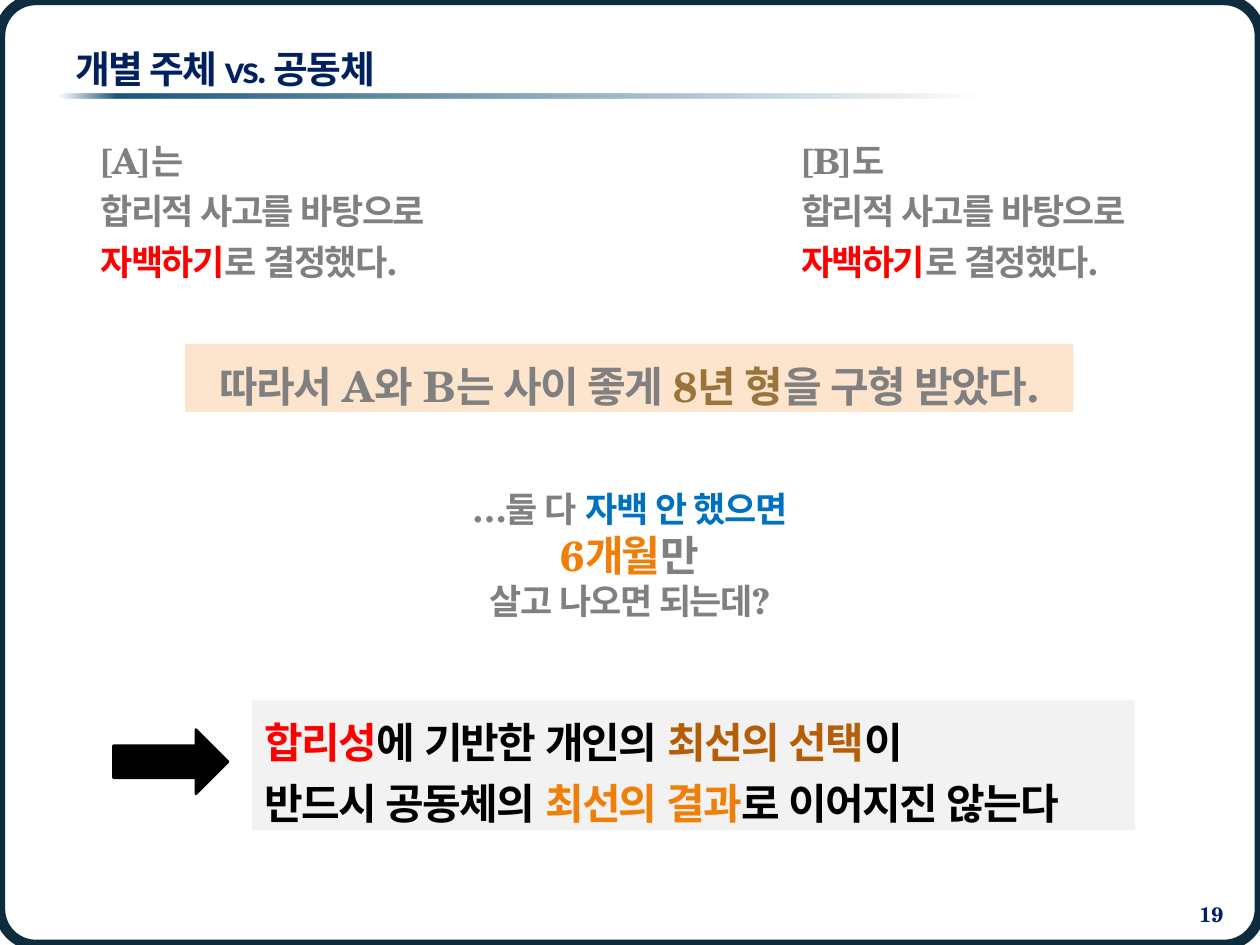
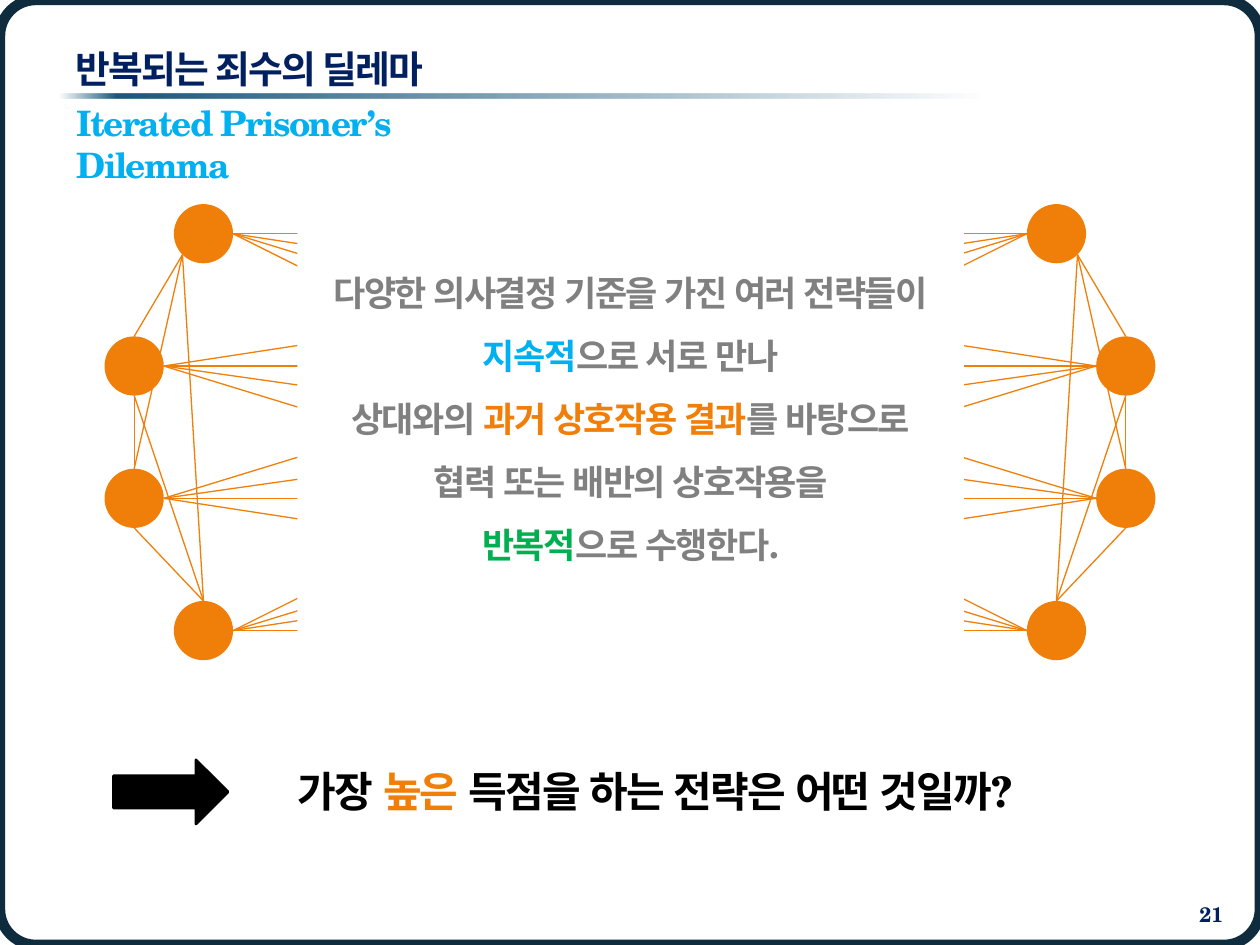
"""Builds two slides on individual choice and the iterated prisoner's dilemma."""
import itertools

import lxml.etree
import pptx
import pptx.dml.color
import pptx.enum.shapes
import pptx.enum.text
import pptx.oxml.ns
import pptx.util

Inches, Pt = pptx.util.Inches, pptx.util.Pt
RGBColor = pptx.dml.color.RGBColor
SHAPE = pptx.enum.shapes.MSO_SHAPE
ALIGN = pptx.enum.text.PP_ALIGN
ANCHOR = pptx.enum.text.MSO_ANCHOR
qn = pptx.oxml.ns.qn

FRAME = RGBColor(0x0E, 0x2C, 0x3E)
RULE = RGBColor(0x1B, 0x58, 0x7C)
NAVY = RGBColor(0x00, 0x20, 0x60)
GRAY = RGBColor(0x80, 0x80, 0x80)
BLACK = RGBColor(0x00, 0x00, 0x00)
WHITE = RGBColor(0xFF, 0xFF, 0xFF)
RED = RGBColor(0xFF, 0x00, 0x00)
BLUE = RGBColor(0x00, 0x70, 0xC0)
SKY = RGBColor(0x00, 0xB0, 0xF0)
GREEN = RGBColor(0x00, 0xB0, 0x50)
ORANGE = RGBColor(0xF0, 0x7F, 0x09)
BROWN = RGBColor(0xB4, 0x5F, 0x07)
GOLD = RGBColor(0x9A, 0x74, 0x3A)
PEACH = RGBColor(0xFD, 0xE5, 0xCD)
PALE = RGBColor(0xF2, 0xF2, 0xF2)

TITLE_FONT, BODY_FONT = "Lato", "TeX Gyre Schola"
SLIDE_W, SLIDE_H = 10, 7.5

PRISONERS = [("[A]는", 0.7), ("[B]도", 6.26)]
DECISION = [
    [("합리적 사고를 바탕으로", GRAY)],
    [("자백하기", RED), ("로 결정했다.", GRAY)],
]
SENTENCE = [[("따라서 A와 B는 사이 좋게 ", GRAY), ("8년 형", GOLD), ("을 구형 받았다.", GRAY)]]
REGRET = [
    [("…둘 다 ", GRAY), ("자백 안 했으면", BLUE)],
    [("6개월", ORANGE, 24), ("만", GRAY, 24)],
    [("살고 나오면 되는데?", GRAY)],
]
LESSON = [
    [("합리성", RED), ("에 기반한 개인의 ", BLACK), ("최선의 선택", BROWN), ("이", BLACK)],
    [("반드시 공동체의 ", BLACK), ("최선의 결과", ORANGE), ("로 이어지진 않는다", BLACK)],
]
SUBTITLE = [[("Iterated Prisoner’s Dilemma", SKY)]]
STRATEGIES = [
    [("다양한 의사결정 기준을 가진 여러 전략들이", GRAY)],
    [("지속적", SKY), ("으로 서로 만나", GRAY)],
    [("상대와의 ", GRAY), ("과거 상호작용 결과", ORANGE), ("를 바탕으로", GRAY)],
    [("협력 또는 배반의 상호작용을", GRAY)],
    [("반복적", GREEN), ("으로 수행한다.", GRAY)],
]
QUESTION = [[("가장 ", BLACK), ("높은", ORANGE), (" 득점을 하는 전략은 어떤 것일까?", BLACK)]]

NODE_SIZE, NODE_TOP, NODE_PITCH = 0.47, 1.62, 1.05
NODE_LEFTS = [1.38, 0.83, 0.83, 1.38]


def write(shape, lines, size=20, align=ALIGN.LEFT, spacing=1, font=BODY_FONT,
          tracking=-100, anchor=ANCHOR.TOP, top_inset=0.05):
    frame = shape.text_frame
    frame.word_wrap = True
    frame.auto_size = pptx.enum.text.MSO_AUTO_SIZE.NONE
    frame.vertical_anchor = anchor
    frame.margin_top = Inches(top_inset)
    for number, line in enumerate(lines):
        paragraph = frame.add_paragraph() if number else frame.paragraphs[0]
        paragraph.alignment = align
        paragraph.line_spacing = spacing
        for words, color, *own_size in line:
            run = paragraph.add_run()
            run.text = words
            run.font.size = Pt(own_size[0] if own_size else size)
            run.font.bold = True
            run.font.name = font
            run.font.color.rgb = color
            properties = run._r.get_or_add_rPr()
            properties.set("spc", str(tracking))
            lxml.etree.SubElement(properties, qn("a:ea"), typeface=font)


def add_text(slide, box, lines, **style):
    write(slide.shapes.add_textbox(*map(Inches, box)), lines, **style)


def add_figure(slide, kind, box, fill=None):
    figure = slide.shapes.add_shape(kind, *map(Inches, box))
    figure.shadow.inherit = False
    figure.line.fill.background()
    if fill is None:
        figure.fill.background()
    else:
        figure.fill.solid()
        figure.fill.fore_color.rgb = fill
    return figure


def outline(figure, color, width):
    figure.line.color.rgb = color
    figure.line.width = Pt(width)


def add_rule(slide):
    rule = add_figure(slide, SHAPE.RECTANGLE, (0.47, 0.74, 9.14, 0.04))
    rule.fill.gradient()
    rule.fill.gradient_angle = 0
    stops = rule._element.spPr.find(qn("a:gradFill")).find(qn("a:gsLst"))
    for stop in list(stops):
        stops.remove(stop)
    for position, alpha in [(0, 0), (5, 100), (80, 0)]:
        stop = lxml.etree.SubElement(stops, qn("a:gs"), pos=str(position * 1000))
        color = lxml.etree.SubElement(stop, qn("a:srgbClr"), val=str(RULE))
        lxml.etree.SubElement(color, qn("a:alpha"), val=str(alpha * 1000))


def start_slide(deck, title, number):
    slide = deck.slides.add_slide(deck.slide_layouts[5])
    frame = add_figure(slide, SHAPE.ROUNDED_RECTANGLE, (0, 0, SLIDE_W, SLIDE_H))
    frame.adjustments[0] = 0.038
    outline(frame, FRAME, 6)
    add_rule(slide)
    heading = slide.shapes.title
    heading.left, heading.top, heading.width, heading.height = map(Inches, (0.5, 0.3, 9, 0.48))
    write(heading, [[(title, NAVY)]], size=21.6, font=TITLE_FONT, anchor=ANCHOR.MIDDLE)
    add_text(slide, (8.98, 7.11, 0.83, 0.24), [[(number, NAVY)]], size=12,
             align=ALIGN.RIGHT, tracking=0)
    return slide


def add_arrow(slide, top):
    outline(add_figure(slide, SHAPE.RIGHT_ARROW, (0.9, top, 0.91, 0.51), BLACK), BLACK, 1.5)


def add_link(slide, start, end):
    link = slide.shapes.add_connector(
        pptx.enum.shapes.MSO_CONNECTOR.STRAIGHT, *map(Inches, (*start, *end)))
    outline(link, ORANGE, 0.75)
    lxml.etree.SubElement(link._element.spPr, qn("a:effectLst"))


def add_network(slide):
    radius = NODE_SIZE / 2
    left_side = [(left + radius, NODE_TOP + row * NODE_PITCH + radius)
                 for row, left in enumerate(NODE_LEFTS)]
    right_side = [(SLIDE_W - x, y) for x, y in left_side]
    for x, y in left_side + right_side:
        add_figure(slide, SHAPE.OVAL, (x - radius, y - radius, NODE_SIZE, NODE_SIZE), ORANGE)
    for (x1, y1), (x2, y2) in itertools.product(left_side, right_side):
        add_link(slide, (x1 + radius, y1), (x2 - radius, y2))
    diagonal = radius * 0.71
    for side, outward in [(left_side, -1), (right_side, 1)]:
        for upper, lower in itertools.combinations(side, 2):
            if upper == side[0]:
                start = upper[0] + outward * diagonal, upper[1] + diagonal
            else:
                start = upper[0], upper[1] + radius
            add_link(slide, start, (lower[0], lower[1] - radius))


def build_outcome(deck):
    slide = start_slide(deck, "개별 주체 vs. 공동체", "19")
    for prisoner, left in PRISONERS:
        add_text(slide, (left, 0.99, 2.98, 1.28), [[(prisoner, GRAY)]] + DECISION, spacing=1.2)
    sentence = add_figure(slide, SHAPE.RECTANGLE, (1.47, 2.73, 7.05, 0.54), PEACH)
    write(sentence, SENTENCE, size=24, align=ALIGN.CENTER, spacing=1.2)
    add_text(slide, (3.59, 3.82, 2.82, 1.18), REGRET, align=ALIGN.CENTER)
    lesson = add_figure(slide, SHAPE.RECTANGLE, (2, 5.56, 7.01, 1.03), PALE)
    write(lesson, LESSON, size=24, spacing=1.2)
    add_arrow(slide, 5.79)


def build_iteration(deck):
    slide = start_slide(deck, "반복되는 죄수의 딜레마", "21")
    add_text(slide, (0.51, 0.76, 3.94, 0.44), SUBTITLE)
    add_text(slide, (2.26, 6.03, 6.29, 0.5), QUESTION, size=24)
    add_arrow(slide, 6.03)
    add_network(slide)
    strategies = add_figure(slide, SHAPE.RECTANGLE, (2.36, 1.62, 5.29, 3.64), WHITE)
    write(strategies, STRATEGIES, align=ALIGN.CENTER, spacing=1.5, top_inset=0.37)


def main():
    deck = pptx.Presentation()
    deck.slide_width, deck.slide_height = Inches(SLIDE_W), Inches(SLIDE_H)
    build_outcome(deck)
    build_iteration(deck)
    deck.save("out.pptx")


if __name__ == "__main__":
    main()
